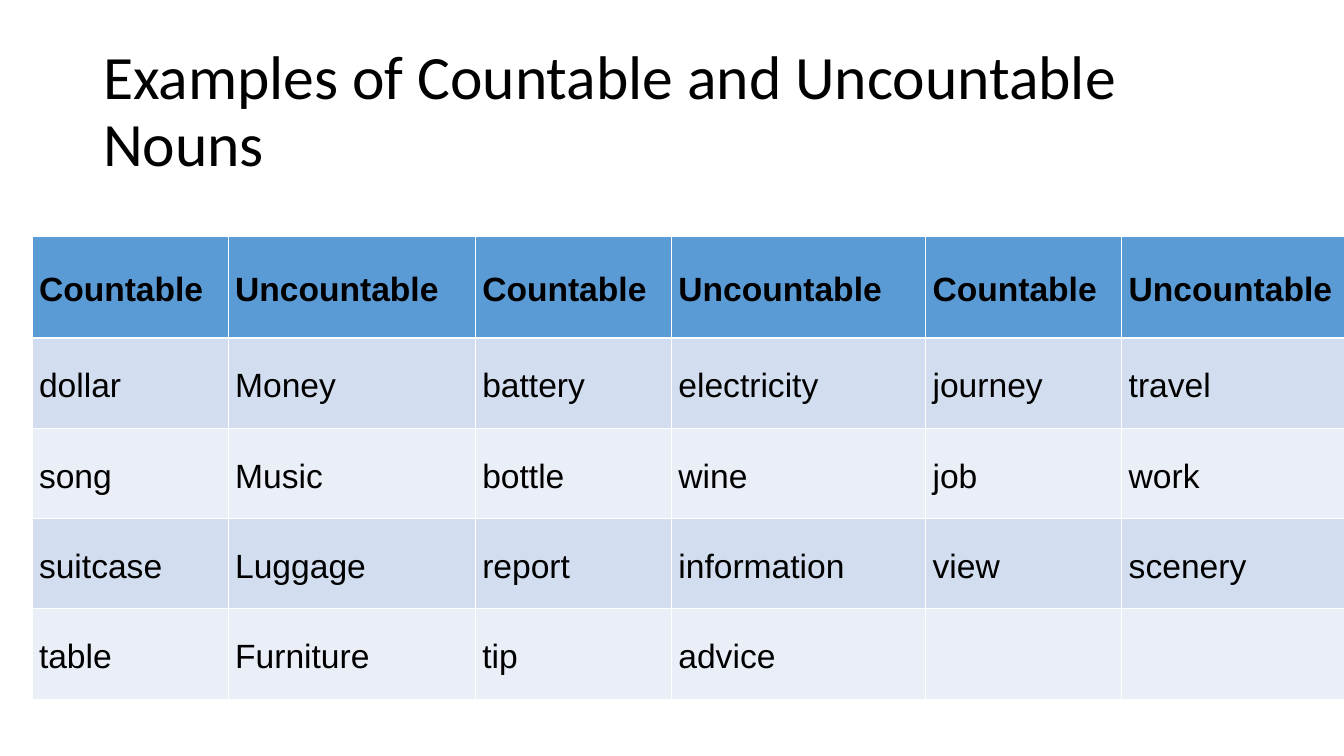
"""Build a slide with a table of countable and uncountable nouns."""
import pptx
import pptx.dml.color
import pptx.enum.text
import pptx.oxml
import pptx.oxml.ns
import pptx.util

TITLE = "Examples of Countable and Uncountable Nouns"
HEAD = ("Countable", "Uncountable") * 3
ROWS = [
    HEAD,
    ("dollar", "Money", "battery", "electricity", "journey", "travel"),
    ("song", "Music", "bottle", "wine", "job", "work"),
    ("suitcase", "Luggage", "report", "information", "view", "scenery"),
    ("table", "Furniture", "tip", "advice", "", ""),
]
COLORS = {"text": "000000", "line": "FFFFFF", "head": "5B9BD5",
          "odd": "D2DEEF", "even": "EAEFF7"}
SLIDE = (1343, 755)
TITLE_BOX = (93, 40, 1158, 146)
GRID_AT = (32, 236)
WIDTHS = (196, 247, 196, 254, 196, 223)
HEIGHTS = (102,) + (90,) * (len(ROWS) - 1)
THIN, THICK = 0.45, 1.47
TITLE_FONT = {"name": "Calibri", "size": pptx.util.Pt(44), "bold": False}
CELL_FONT = {"name": "Arial", "size": pptx.util.Pt(24)}
MIDDLE = pptx.enum.text.MSO_ANCHOR.MIDDLE


def px(n):
    return pptx.util.Emu(n * 9080)


CELL = {"margin_left": px(7), "margin_right": px(7), "margin_top": px(5),
        "margin_bottom": px(5), "vertical_anchor": MIDDLE}


def apply(item, values):
    for key, value in values.items():
        setattr(item, key, value)


def color(name):
    return pptx.dml.color.RGBColor.from_string(COLORS[name])


def write(para, text, font, spacing):
    para.line_spacing = spacing
    run = para.add_run()
    run.text = text
    apply(run.font, font)
    run.font.color.rgb = color("text")


def border(cell, sides):
    props = cell._tc.get_or_add_tcPr()
    for side, width in sides.items():
        props.append(pptx.oxml.parse_xml(
            f'<a:ln{side} {pptx.oxml.ns.nsdecls("a")} w="{pptx.util.Pt(width)}">'
            f'<a:solidFill><a:srgbClr val="{COLORS["line"]}"/></a:solidFill>'
            f'</a:ln{side}>'))


def add_title(slide):
    frame = slide.shapes.add_textbox(*map(px, TITLE_BOX)).text_frame
    apply(frame, {"word_wrap": True, "vertical_anchor": MIDDLE})
    write(frame.paragraphs[0], TITLE, TITLE_FONT, 0.9)


def add_grid(slide):
    size = (sum(WIDTHS), sum(HEIGHTS))
    grid = slide.shapes.add_table(
        len(ROWS), len(HEAD), *map(px, GRID_AT + size)).table
    for col, width in zip(grid.columns, WIDTHS):
        col.width = px(width)
    for r, (row, height) in enumerate(zip(ROWS, HEIGHTS)):
        grid.rows[r].height = px(height)
        fill = "head" if r == 0 else "odd" if r % 2 else "even"
        sides = {"L": THIN, "R": THIN, "T": THICK if r == 1 else THIN,
                 "B": THICK if r == 0 else THIN}
        for c, text in enumerate(row):
            cell = grid.cell(r, c)
            apply(cell, CELL)
            border(cell, sides)
            cell.fill.solid()
            cell.fill.fore_color.rgb = color(fill)
            if text:
                write(cell.text_frame.paragraphs[0], text,
                      {**CELL_FONT, "bold": r == 0}, 1.15)


def main():
    deck = pptx.Presentation()
    deck.slide_width, deck.slide_height = map(px, SLIDE)
    slide = deck.slides.add_slide(deck.slide_layouts[6])
    add_title(slide)
    add_grid(slide)
    deck.save("out.pptx")


if __name__ == "__main__":
    main()
